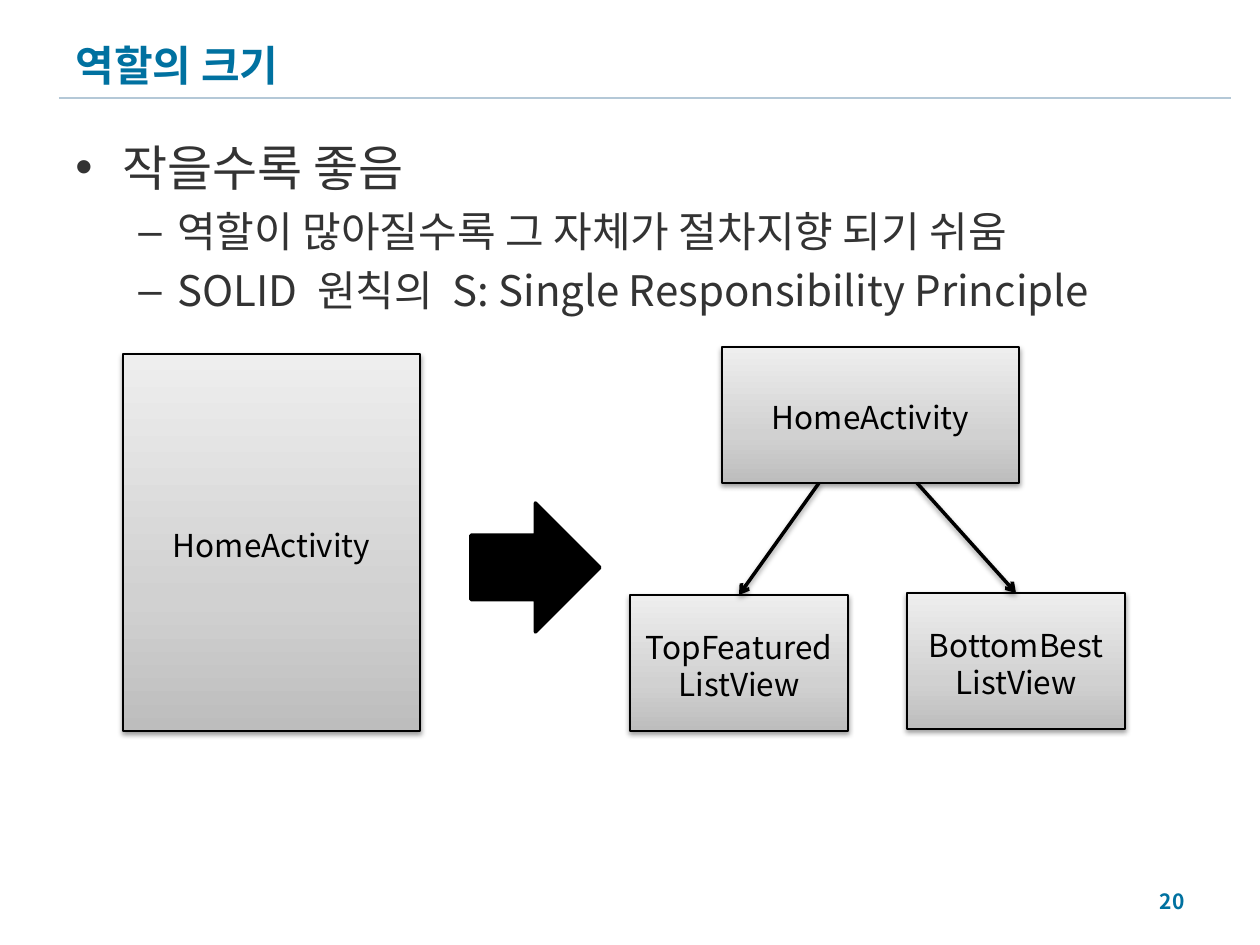
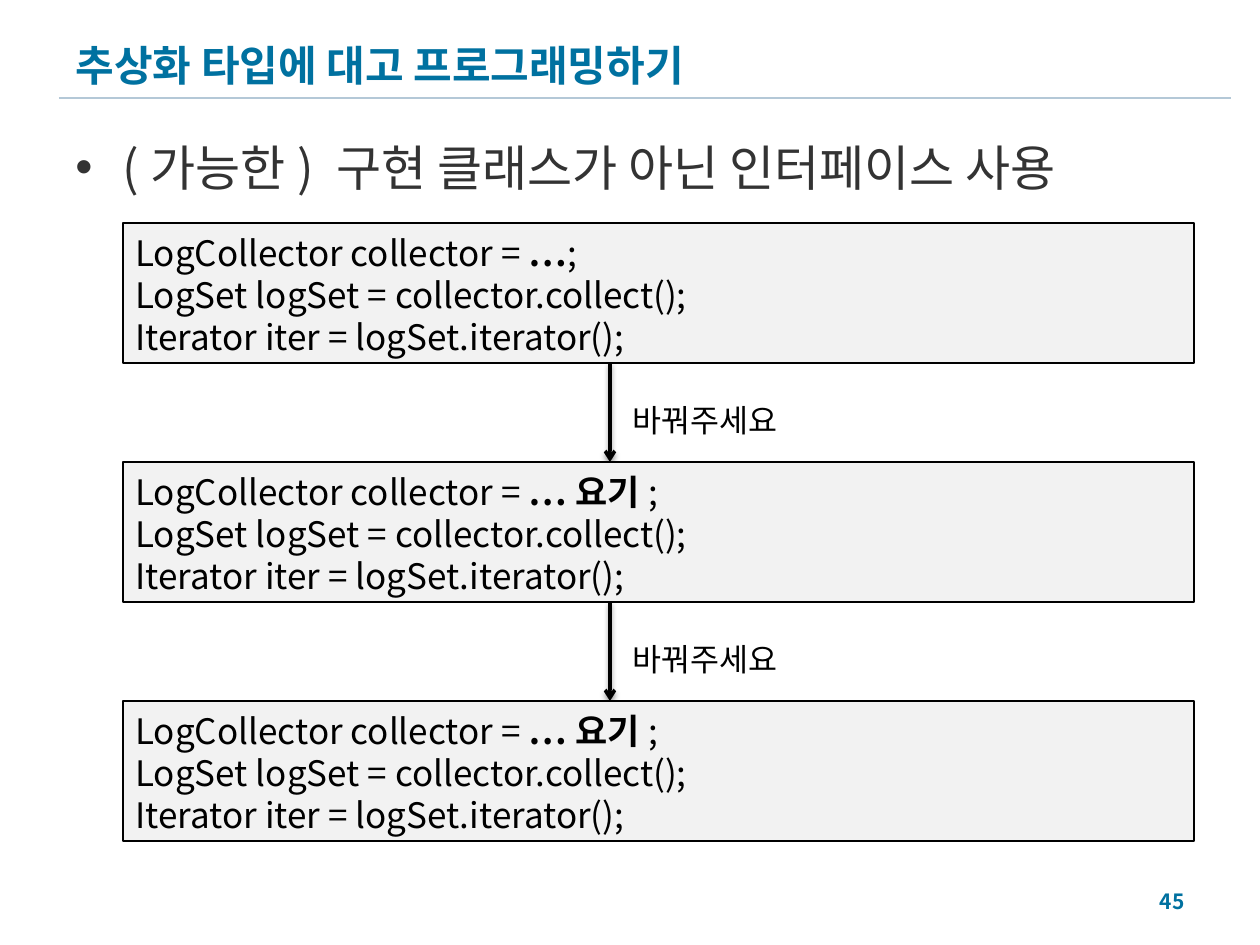
from copy import deepcopy
from lxml import etree
from pptx import Presentation, util as u
from pptx.dml.color import RGBColor
from pptx.enum import shapes, text
from pptx.oxml.ns import qn

PX = 914400 / 126
FONT = "Noto Sans CJK KR"
HUES = {"title": "0071A0", "rule": "B4C8D7", "body": "333333", "ink": "000000",
        "code": "F2F2F2", "low": "BDBDBD", "mid": "D1D1D1", "high": "EEEEEE"}
LEVELS = [  # bullet, size, left margin, hanging, line height, space before
    ("•", 28, 47, 47, 35, 0),
    ("–", 24, 102, 39, 29, 5),
]


def px(*vals):
    return [u.Emu(round(v * PX)) for v in vals]


def rgb(name):
    return RGBColor.from_string(HUES[name])


def style(para, size, hue="ink", bold=False, font=FONT, lead=None):
    """Format every run; lead is a fixed line height in points."""
    if lead:
        para.line_spacing = u.Pt(lead)
    for run in para.runs:
        run.font.size, run.font.bold, run.font.name = u.Pt(size), bold, font
        run.font.color.rgb = rgb(hue)
        etree.SubElement(run.font._element, qn("a:ea"), typeface=FONT)


def outline(item, hue="ink", width=0.75):
    item.line.color.rgb = rgb(hue)
    item.line.width = u.Pt(width)


def shade(item, soft=True):
    """Give the item its own effect list, with a soft drop shadow or empty."""
    props = item._element.spPr
    fx = props.find(qn("a:effectLst"))
    if fx is None:
        fx = etree.SubElement(props, qn("a:effectLst"))
    if soft:
        drop = etree.SubElement(fx, qn("a:outerShdw"), blurRad=str(u.Pt(3.1)),
                                dist=str(u.Pt(1.6)), dir="5400000", rotWithShape="0")
        tint = etree.SubElement(drop, qn("a:srgbClr"), val=HUES["ink"])
        etree.SubElement(tint, qn("a:alpha"), val="38000")


def add_line(slide, x1, y1, x2, y2, hue="ink", width=2, soft=False):
    line = slide.shapes.add_connector(shapes.MSO_CONNECTOR.STRAIGHT, *px(x1, y1, x2, y2))
    outline(line, hue, width)
    shade(line, soft)
    return line


def add_arrow(slide, *ends):
    line = add_line(slide, *ends, soft=True)
    etree.SubElement(line.line._get_or_add_ln(), qn("a:tailEnd"), type="arrow")
    return line


def add_shape(slide, kind, *place):
    shape = slide.shapes.add_shape(kind, *px(*place))
    shape.shadow.inherit = False
    outline(shape)
    return shape


def add_text(slide, words, *place):
    box = slide.shapes.add_textbox(*px(*place))
    frame = box.text_frame
    frame.word_wrap = True
    frame.text = words
    return frame


def add_slide(deck, title, number):
    slide = deck.slides.add_slide(deck.slide_layouts[5])
    add_line(slide, 59, 98, 1231, 98, "rule", 1.5)
    head = slide.shapes.title
    head.left, head.top, head.width, head.height = px(63, 29, 1134, 71)
    frame = head.text_frame
    frame.text = title
    frame.auto_size = text.MSO_AUTO_SIZE.NONE
    frame.vertical_anchor = text.MSO_ANCHOR.MIDDLE
    frame.paragraphs[0].alignment = text.PP_ALIGN.LEFT
    style(frame.paragraphs[0], 24, "title", True, "Arial")

    page = add_text(slide, str(number), 903, 876, 294, 50)
    page.vertical_anchor = text.MSO_ANCHOR.MIDDLE
    page.paragraphs[0].alignment = text.PP_ALIGN.RIGHT
    style(page.paragraphs[0], 12, "title", True)
    return slide


def add_points(slide, *points):
    """Each point is a pair of level and words."""
    frame = add_text(slide, "\n".join(words for _, words in points), 63, 129, 1134, 716)
    for para, (level, _) in zip(frame.paragraphs, points):
        mark, size, left, hang, lead, before = LEVELS[level]
        para.level = level
        para.space_before = u.Pt(before)
        props = para._p.get_or_add_pPr()
        props.set("marL", str(px(left)[0]))
        props.set("indent", str(px(-hang)[0]))
        style(para, size, "body", lead=lead)
        etree.SubElement(props, qn("a:buFont"), typeface="Arial")
        etree.SubElement(props, qn("a:buChar"), char=mark)


def add_role(slide, name, *place):
    """A grey gradient box that stands for a class."""
    box = add_shape(slide, shapes.MSO_SHAPE.RECTANGLE, *place)
    box.fill.gradient()
    stops = box._element.spPr.find(qn("a:gradFill")).find(qn("a:gsLst"))
    stops.append(deepcopy(stops[0]))
    tones = [(0, "low"), (0.35, "mid"), (1, "high")]
    for stop, (spot, hue) in zip(box.fill.gradient_stops, tones):
        stop.position = spot
        stop.color.rgb = rgb(hue)
    box.fill.gradient_angle = 90
    shade(box)
    frame = box.text_frame
    frame.text = name
    frame.margin_top = px(12)[0]
    frame.vertical_anchor = text.MSO_ANCHOR.MIDDLE
    for para in frame.paragraphs:
        para.alignment = text.PP_ALIGN.CENTER
        style(para, 18, lead=21)
    return box


def add_code(slide, value, top):
    box = add_shape(slide, shapes.MSO_SHAPE.RECTANGLE, 123, top, 1071, 140)
    box.fill.solid()
    box.fill.fore_color.rgb = rgb("code")
    frame = box.text_frame
    frame.text = ("\nLogSet logSet = collector.collect();"
                  "\nIterator iter = logSet.iterator();")
    frame.margin_top = px(9)[0]
    frame.vertical_anchor = text.MSO_ANCHOR.TOP
    first = frame.paragraphs[0]
    for part in ("LogCollector collector = ", value, ";"):
        first.add_run().text = part
    for para in frame.paragraphs:
        para.alignment = text.PP_ALIGN.LEFT
        style(para, 20, lead=24)
    first.runs[1].font.bold = True


def add_label(slide, words, left, top):
    frame = add_text(slide, words, left, top, 184, 50)
    frame.word_wrap = False
    frame.margin_top = px(12)[0]
    frame.vertical_anchor = text.MSO_ANCHOR.MIDDLE
    style(frame.paragraphs[0], 18, lead=21)


def role_slide(deck):
    slide = add_slide(deck, "역할의 크기", 20)
    add_points(slide, (0, "작을수록 좋음"),
               (1, "역할이 많아질수록 그 자체가 절차지향 되기 쉬움"),
               (1, "SOLID 원칙의 S: Single Responsibility Principle"))
    add_role(slide, "HomeActivity", 123, 354, 297, 377)
    turn = add_shape(slide, shapes.MSO_SHAPE.RIGHT_ARROW, 471, 503, 129, 129)
    turn.fill.solid()
    turn.fill.fore_color.rgb = rgb("ink")
    outline(turn, width=2)
    add_role(slide, "HomeActivity", 722, 347, 297, 136)
    views = [("TopFeatured\nListView", 630, 595, 819),
             ("BottomBest\nListView", 907, 593, 917)]
    for name, left, top, start in views:
        view = add_role(slide, name, left, top, 218, 136)
        add_arrow(slide, start, 483, left + 109, top).end_connect(view, 0)


def type_slide(deck):
    slide = add_slide(deck, "추상화 타입에 대고 프로그래밍하기", 45)
    add_points(slide, (0, "(가능한) 구현 클래스가 아닌 인터페이스 사용"))
    values = ["…", "…요기", "…요기"]
    for i, value in enumerate(values):
        top = 223 + 239 * i
        add_code(slide, value, top)
        if i < len(values) - 1:
            add_arrow(slide, 610, top + 140, 610, top + 239)
            add_label(slide, "바꿔주세요", 620, top + 170)


def main():
    deck = Presentation()
    deck.slide_width, deck.slide_height = px(1260, 945)
    role_slide(deck)
    type_slide(deck)
    deck.save("out.pptx")


if __name__ == "__main__":
    main()
